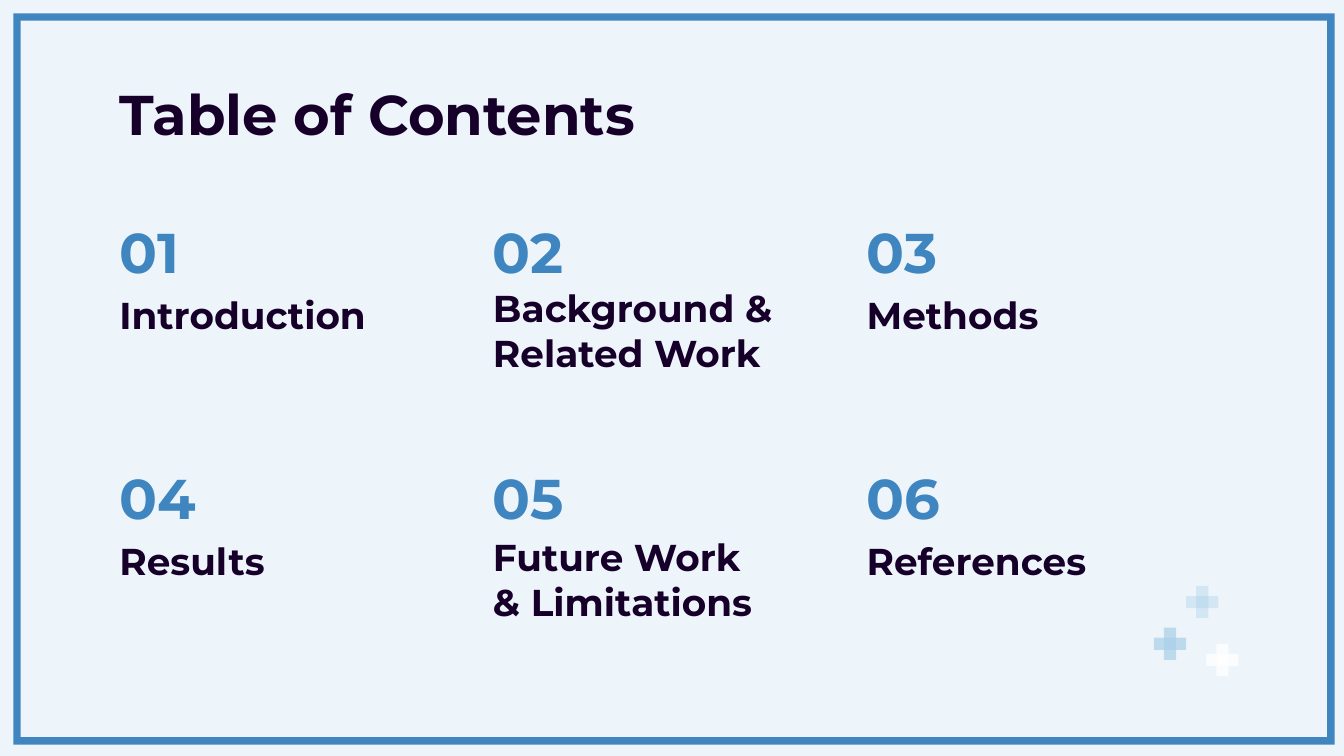
from typing import NamedTuple

from lxml.etree import SubElement
from pptx import Presentation
from pptx.dml.color import RGBColor
from pptx.enum.shapes import MSO_SHAPE as Shape
from pptx.enum.text import MSO_ANCHOR as Anchor, PP_ALIGN as Align
from pptx.oxml.ns import qn
from pptx.util import Inches, Pt

COLORS = {
    "background": "EEF5FA",
    "frame": "3F85BF",
    "number": "3F85BF",
    "text": "16002A",
    "sky": "A8CFE8",
    "white": "FFFFFF",
}
FONT = "Montserrat"
PAGE_WIDTH = 10
PAGE_HEIGHT = PAGE_WIDTH * 9 / 16
LEFT, COLUMN_STEP = 0.79, 2.78
TOP, ROW_STEP = 1.59, 1.83
COLUMNS = 3
ARM_WIDTH, ARM_LENGTH = 0.09, 0.24


class Section(NamedTuple):
    name: str
    width: float = 2.05
    drop: float = 0.49  # from the top of the number to the top of the name


class Plus(NamedTuple):
    left: float
    top: float
    color: str
    opacity: int


SECTIONS = [
    Section("Introduction"),
    Section("Background & Related Work", 2.36, 0.77),
    Section("Methods"),
    Section("Results"),
    Section("Future Work & Limitations", 2.26, 0.79),
    Section("References"),
]
PLUSES = [
    Plus(8.66, 4.67, "sky", 69),
    Plus(8.9, 4.36, "sky", 39),
    Plus(9.05, 4.79, "white", 78),
]


def rgb(name: str) -> RGBColor:
    return RGBColor.from_string(COLORS[name])


def write(box, text: str, *, size: int, color: str, anchor=Anchor.BOTTOM) -> None:
    frame = box.text_frame
    frame.word_wrap = True
    frame.vertical_anchor = anchor
    frame.margin_left = frame.margin_right = Inches(0.1)
    frame.margin_top = frame.margin_bottom = Inches(0.1)
    para = frame.paragraphs[0]
    para.alignment = Align.LEFT
    para.line_spacing = 1.0
    para.space_before = Pt(0)
    span = para.add_run()
    span.text = text
    span.font.name = FONT
    span.font.size = Pt(size)
    span.font.bold = True
    span.font.color.rgb = rgb(color)


def add_title(page, text: str) -> None:
    title = page.shapes.title
    title.left, title.top = Inches(LEFT), Inches(0.49)
    title.width, title.height = Inches(8.43), Inches(0.63)
    write(title, text, size=30, color="text", anchor=Anchor.TOP)


def add_section(page, index: int, section: Section) -> None:
    row, column = divmod(index, COLUMNS)
    left = LEFT + column * COLUMN_STEP
    top = TOP + row * ROW_STEP
    number = page.shapes.add_textbox(
        Inches(left), Inches(top), Inches(0.8), Inches(0.63))
    write(number, f"{index + 1:02}", size=30, color="number")
    name = page.shapes.add_textbox(
        Inches(left), Inches(top + section.drop), Inches(section.width), Inches(0.53))
    write(name, section.name, size=20, color="text")


def add_solid(shapes, kind, left: float, top: float, width: float, height: float,
              color: str):
    shape = shapes.add_shape(
        kind, Inches(left), Inches(top), Inches(width), Inches(height))
    shape.shadow.inherit = False
    shape.fill.solid()
    shape.fill.fore_color.rgb = rgb(color)
    shape.line.fill.background()
    return shape


def add_plus(page, plus: Plus) -> None:
    """Cross two translucent bars, so that their overlap is denser."""
    group = page.shapes.add_group_shape()
    for rotation in (90, 180):
        arm = add_solid(group.shapes, Shape.RECTANGLE, plus.left, plus.top,
                        ARM_WIDTH, ARM_LENGTH, plus.color)
        arm.rotation = rotation
        color = arm.element.spPr.find(f"{qn('a:solidFill')}/{qn('a:srgbClr')}")
        SubElement(color, qn("a:alpha"), val=str(plus.opacity * 1000))


def main() -> None:
    deck = Presentation()
    deck.slide_width, deck.slide_height = Inches(PAGE_WIDTH), Inches(PAGE_HEIGHT)
    page = deck.slides.add_slide(deck.slide_layouts[5])
    page.background.fill.solid()
    page.background.fill.fore_color.rgb = rgb("background")

    border = add_solid(page.shapes, Shape.FRAME, 0.1, 0.1, 9.83, 5.44, "frame")
    border.adjustments[0] = 0.01
    add_title(page, "Table of Contents")
    for index, section in enumerate(SECTIONS):
        add_section(page, index, section)
    for plus in PLUSES:
        add_plus(page, plus)
    deck.save("out.pptx")


if __name__ == "__main__":
    main()
